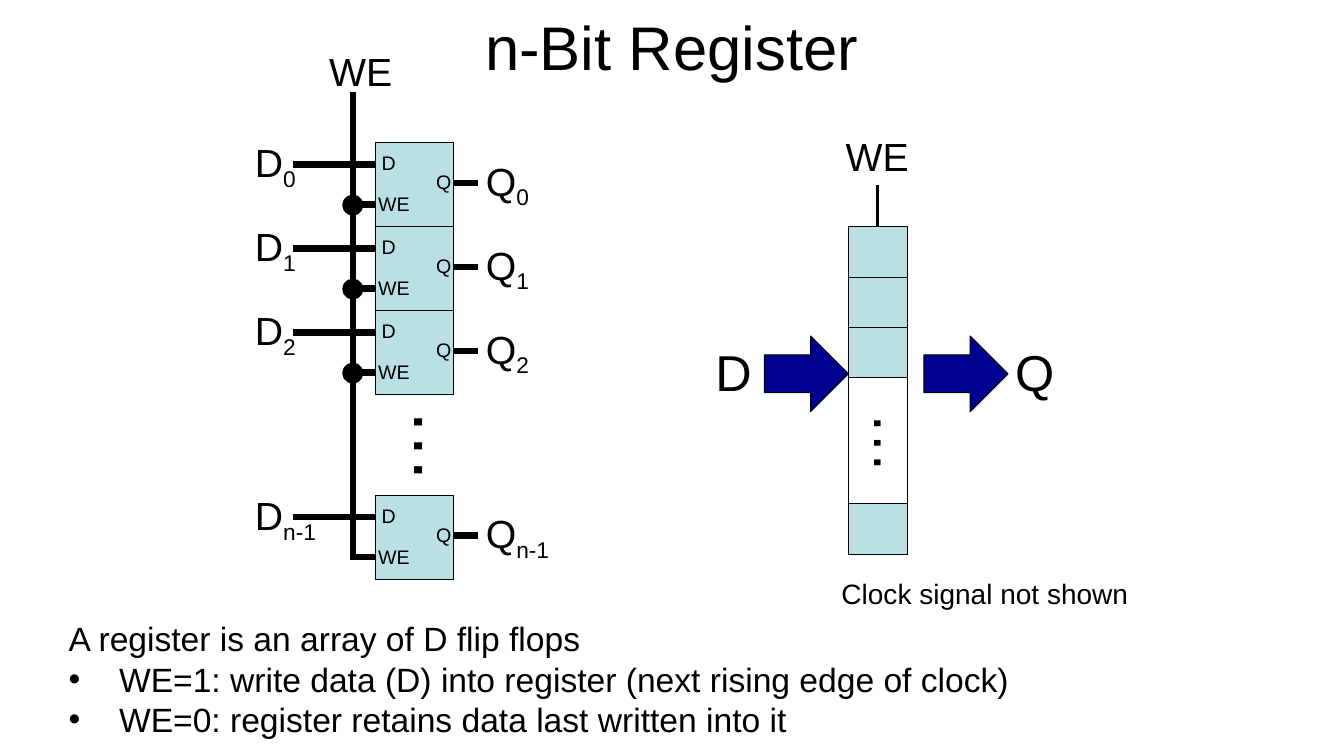
import pptx
import pptx.dml.color
import pptx.enum.shapes
import pptx.enum.text
import pptx.util
from lxml import etree
from pptx.oxml.ns import qn

Pt = pptx.util.Pt
Kind = pptx.enum.shapes.MSO_SHAPE
Align = pptx.enum.text.PP_ALIGN

BLACK = pptx.dml.color.RGBColor(0x00, 0x00, 0x00)
PALE_TEAL = pptx.dml.color.RGBColor(0xBB, 0xE0, 0xE3)
NAVY = pptx.dml.color.RGBColor(0x00, 0x00, 0x90)


class Sketch:
    """Draws on the page, or in the group opened last; lengths are in points."""

    font_name = "Arial"

    def __init__(self, page):
        self.page = page
        self.target = page.shapes

    def open_group(self):
        self.target = self.page.shapes.add_group_shape().shapes

    def close_group(self):
        self.target = self.page.shapes

    def style(self, para, size):
        para.font.name = self.font_name
        para.font.size = Pt(size)
        para.font.color.rgb = BLACK

    def label(self, text, left, top, width, height, size, subscript="", rotation=0):
        box = self.target.add_textbox(Pt(left), Pt(top), Pt(width), Pt(height))
        box.rotation = rotation
        frame = box.text_frame
        frame.word_wrap = False
        frame.auto_size = pptx.enum.text.MSO_AUTO_SIZE.SHAPE_TO_FIT_TEXT
        para = frame.paragraphs[0]
        para.add_run().text = text
        if subscript:
            span = para.add_run()
            span.text = subscript
            span._r.get_or_add_rPr().set("baseline", "-25000")
        self.style(para, size)

    def heading(self, text, left, top, width, height, size):
        box = self.target.add_textbox(Pt(left), Pt(top), Pt(width), Pt(height))
        frame = box.text_frame
        frame.word_wrap = True
        frame.vertical_anchor = pptx.enum.text.MSO_ANCHOR.MIDDLE
        para = frame.paragraphs[0]
        para.text = text
        para.alignment = Align.CENTER
        self.style(para, size)

    def bullet_list(self, intro, points, left, top, width, height, size, indent):
        box = self.target.add_textbox(Pt(left), Pt(top), Pt(width), Pt(height))
        frame = box.text_frame
        frame.word_wrap = True
        frame.paragraphs[0].text = intro
        self.style(frame.paragraphs[0], size)
        for point in points:
            para = frame.add_paragraph()
            para.text = point
            properties = para._p.get_or_add_pPr()
            properties.set("marL", str(Pt(indent)))
            properties.set("indent", str(-Pt(indent)))
            etree.SubElement(properties, qn("a:buFont"), typeface=self.font_name)
            etree.SubElement(properties, qn("a:buChar"), char="•")
            self.style(para, size)

    def shape(self, kind, left, top, width, height, fill, weight=0.75):
        shape = self.target.add_shape(kind, Pt(left), Pt(top), Pt(width), Pt(height))
        shape.shadow.inherit = False
        shape.fill.solid()
        shape.fill.fore_color.rgb = fill
        shape.line.color.rgb = BLACK
        shape.line.width = Pt(weight)
        return shape

    def wire(self, x1, y1, x2, y2, weight):
        wire = self.target.add_connector(
            pptx.enum.shapes.MSO_CONNECTOR.STRAIGHT, Pt(x1), Pt(y1), Pt(x2), Pt(y2))
        wire.line.color.rgb = BLACK
        wire.line.width = Pt(weight)
        etree.SubElement(wire._element.spPr, qn("a:effectLst"))
        return wire


def draw_flip_flops(sketch):
    stages = {"0": 102, "1": 162, "2": 222, "n-1": 354}
    left, width, height = 268.5, 55.5, 60
    right, bus_x, dot = left + width, 252, 12
    sketch.open_group()

    # Flip-flops with their pins and wires
    for top in stages.values():
        sketch.wire(left, top + 15.5, 209, top + 15.5, 4.5)
        sketch.wire(right + 17.5, top + 28.5, right, top + 28.5, 4.5)
        sketch.wire(left + 0.5, top + 44, bus_x, top + 44, 4.5)
        sketch.shape(Kind.RECTANGLE, left, top, width, height, PALE_TEAL)
        sketch.label("D", 265.5, top + 2.5, 24.5, 24.5, 14)
        sketch.label("WE", 263, top + 31.5, 37.5, 24.5, 14)
        sketch.label("Q", 304.5, top + 16, 25, 24.5, 14)
    sketch.label("…", 283, 283, 69, 72.7, 54, rotation=90)

    # Write-enable bus, with a dot at every stage but the last
    sketch.wire(bus_x, 400, bus_x, 66, 4.5)
    for top in list(stages.values())[:-1]:
        sketch.shape(Kind.OVAL, bus_x - dot / 2, top + 44.5 - dot / 2,
                     dot, dot, BLACK, 3)
    sketch.label("WE", 228, 30.5, 60, 41, 28)

    # Inputs and outputs
    for name, top in stages.items():
        extra = 17 if len(name) > 1 else 0
        sketch.label("D", 175, top - 6.5, 45 + extra, 41, 28, name)
        sketch.label("Q", 340, top + 6.5, 47 + extra, 41, 28, name)
    sketch.close_group()


def draw_register(sketch):
    left, width, height = 606, 42, 36
    first_top, gap_top, last_top = 162, 270, 360
    sketch.open_group()

    # Data in and out
    sketch.label("WE", 597, 91, 60, 41, 28)
    sketch.label("D", 504, 240, 41, 51, 36)
    sketch.label("Q", 718, 240, 42.5, 51, 36)
    for arrow_left in (546, 660):
        sketch.shape(Kind.RIGHT_ARROW, arrow_left, 240, 60, 54, NAVY)

    # Cells
    cells = [sketch.shape(Kind.RECTANGLE, left, top, width, height, PALE_TEAL)
             for top in (*range(first_top, gap_top, height), last_top)]
    for x in (left, left + width):
        sketch.wire(x, gap_top, x, last_top, 0.75)
    sketch.label("…", 612.5, 287, 59, 60.5, 44, rotation=90)

    # Write-enable lead
    lead = sketch.wire(627, first_top, 627, 132, 2.25)
    lead.begin_connect(cells[0], 0)
    sketch.close_group()


def main():
    deck = pptx.Presentation()
    deck.slide_width, deck.slide_height = Pt(960), Pt(540)
    sketch = Sketch(deck.slides.add_slide(deck.slide_layouts[6]))

    sketch.heading("n-Bit Register", 174, -12, 612, 90, 44)
    draw_flip_flops(sketch)
    sketch.bullet_list(
        "A register is an array of D flip flops",
        ["WE=1: write data (D) into register (next rising edge of clock)",
         "WE=0: register retains data last written into it"],
        42, 438, 864, 94.5, 24, 36)
    draw_register(sketch)
    sketch.label("Clock signal not shown", 594, 408, 221, 31.5, 20)

    deck.save("out.pptx")


if __name__ == "__main__":
    main()
